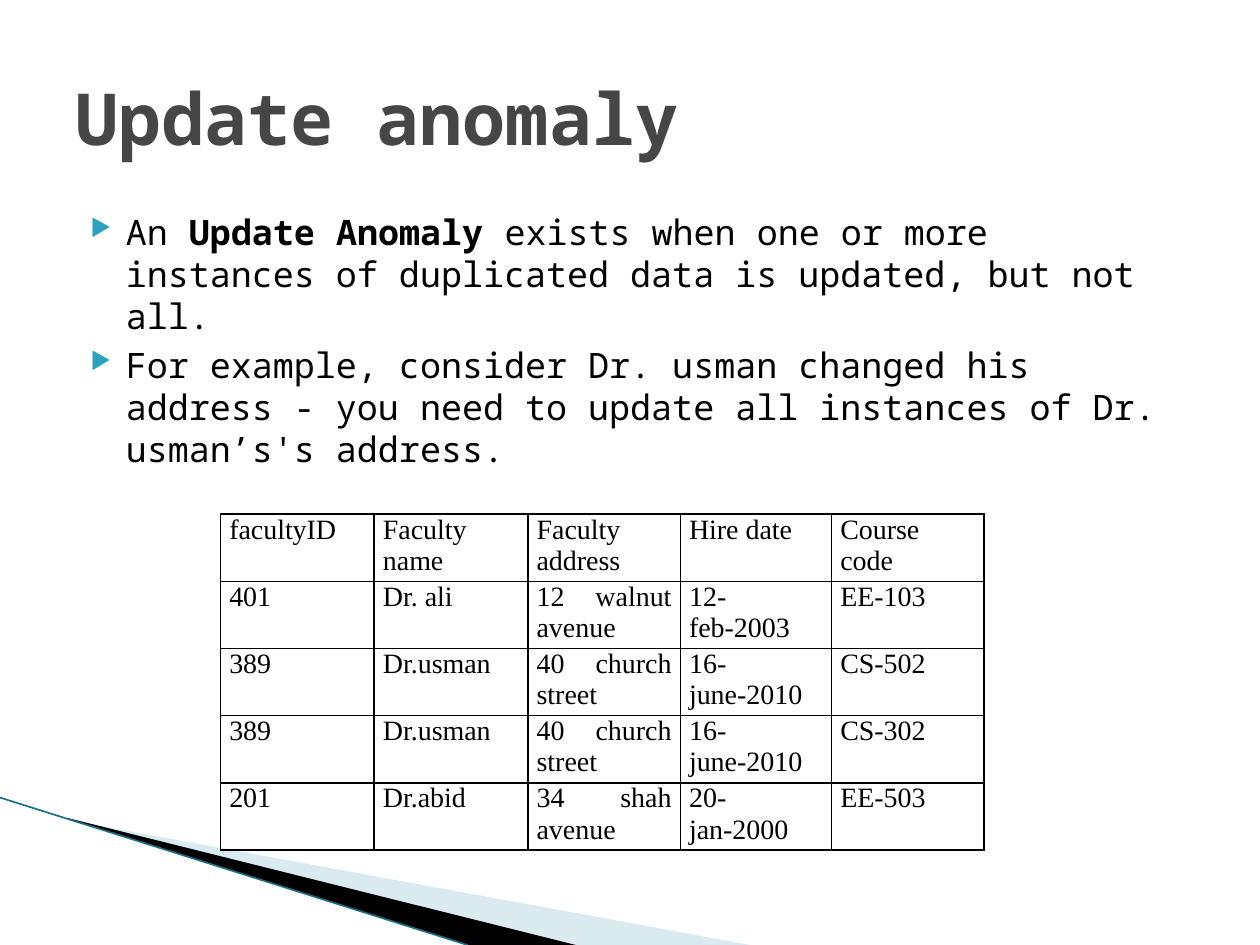
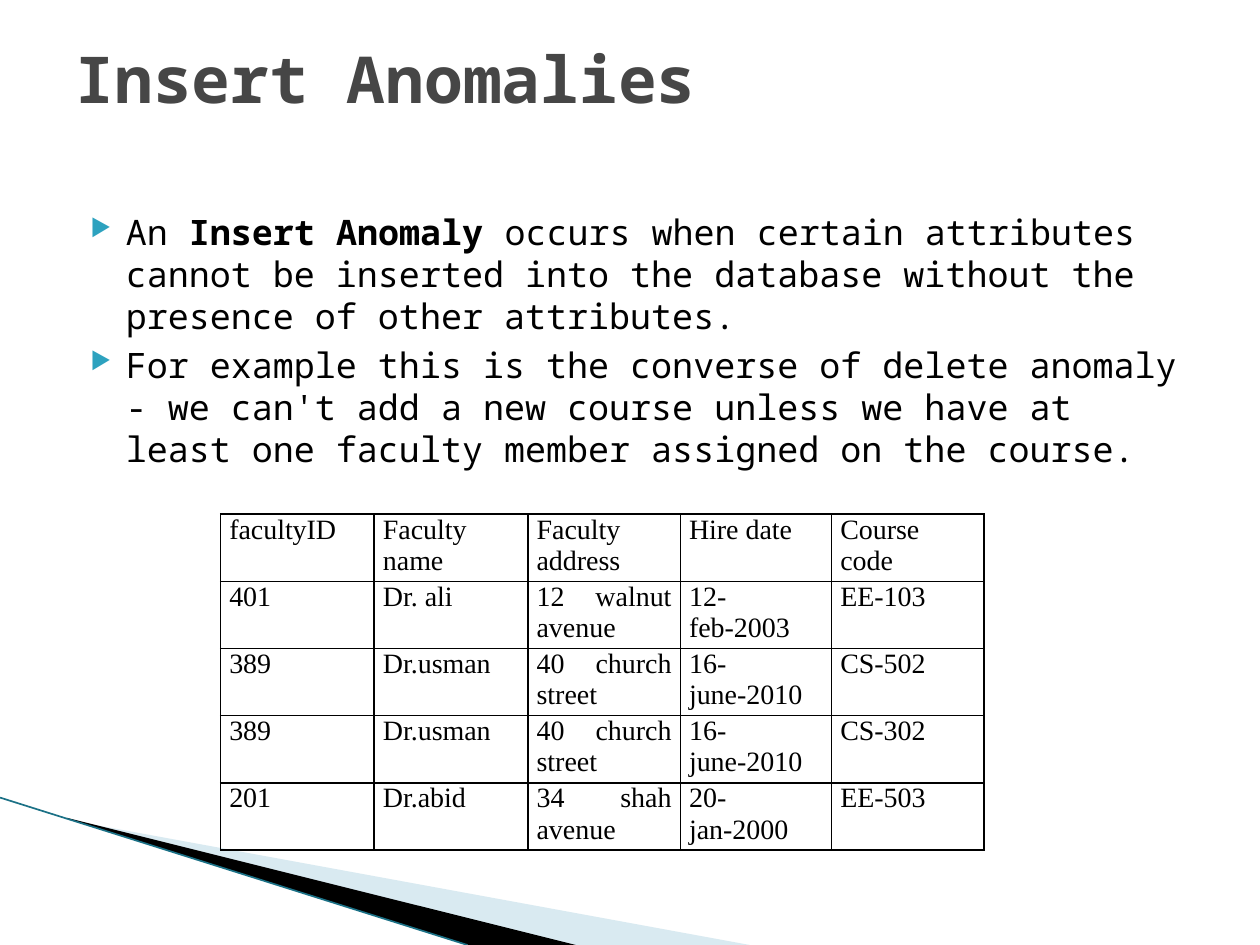
"""Build two slides on update and insert anomalies in a faculty table."""
from lxml import etree
from pptx import Presentation
from pptx.dml.color import RGBColor
from pptx.enum.shapes import MSO_CONNECTOR
from pptx.enum.text import MSO_ANCHOR, MSO_AUTO_SIZE, PP_ALIGN
from pptx.oxml import parse_xml
from pptx.oxml.ns import nsdecls, qn
from pptx.util import Pt

PX = 9144
STRAIGHT = MSO_CONNECTOR.STRAIGHT
MIDDLE = MSO_ANCHOR.MIDDLE
NO_AUTOSIZE = MSO_AUTO_SIZE.NONE
LEFT = PP_ALIGN.LEFT
JUSTIFY = PP_ALIGN.JUSTIFY

BLACK = RGBColor(0x00, 0x00, 0x00)
TITLE_GRAY = RGBColor(0x46, 0x46, 0x46)
BULLET_BLUE = RGBColor(0x2D, 0xA2, 0xBF)
PALE_BLUE = RGBColor(0xA0, 0xCB, 0xDC)
EDGE_TEAL = RGBColor(0x1B, 0x71, 0x86)
TEXT_FONT = "Noto Sans Mono"
TABLE_FONT = "Times New Roman"

PALE_WEDGE = [(55, 651), (595, 750), (456, 750), (55, 650)]
BLACK_WEDGE = [(53, 649), (457, 750), (372, 750), (54, 650)]
COLUMN_WIDTHS = [122, 122, 121, 120, 121]
ROW_HEIGHT = 49
FACULTY_ROWS = [
    ["facultyID", "Faculty name", "Faculty address", "Hire date", "Course code"],
    ["401", "Dr. ali", "12 walnut avenue", "12-feb-2003", "EE-103"],
    ["389", "Dr.usman", "40 church street", "16-june-2010", "CS-502"],
    ["389", "Dr.usman", "40 church street", "16-june-2010", "CS-302"],
    ["201", "Dr.abid", "34 shah avenue", "20-jan-2000", "EE-503"],
]
SLIDES = [
    {
        "title": "Update anomaly", "title_size": 41, "title_bottom_inset": 5,
        "bullets": [
            ["An ", "Update Anomaly", " exists when one or more instances of "
             "duplicated data is updated, but not all."],
            ["For example, consider Dr. usman changed his address - you need to "
             "update all instances of Dr. usman’s's address."],
        ],
    },
    {
        "title": "Insert Anomalies", "title_size": 36.9, "title_bottom_inset": 67,
        "bullets": [
            ["An ", "Insert Anomaly", " occurs when certain attributes cannot be "
             "inserted into the database without the presence of other attributes."],
            ["For example this is the converse of delete anomaly - we can't add a "
             "new course unless we have at least one faculty member assigned on "
             "the course."],
        ],
    },
]


def style_run(run, font_name, size, color, bold=False):
    run.font.name = font_name
    run.font.size = Pt(size)
    run.font.color.rgb = color
    run.font.bold = bold


def add_wedge(slide, points, color):
    builder = slide.shapes.build_freeform(*points[0], scale=PX)
    builder.add_line_segments(points[1:], close=True)
    wedge = builder.convert_to_shape()
    wedge.shadow.inherit = False
    wedge.fill.solid()
    wedge.fill.fore_color.rgb = color
    wedge.line.fill.background()
    return wedge


presentation = Presentation()
presentation.slide_width = 1000 * PX
presentation.slide_height = 750 * PX
title_only_layout = presentation.slide_layouts[5]

for content in SLIDES:
    slide = presentation.slides.add_slide(title_only_layout)

    pale_wedge = add_wedge(slide, PALE_WEDGE, PALE_BLUE)
    pale_color = pale_wedge.fill._xPr.find(qn("a:solidFill"))[0]
    etree.SubElement(pale_color, qn("a:alpha"), val="40000")
    add_wedge(slide, BLACK_WEDGE, BLACK)
    edge = slide.shapes.add_connector(STRAIGHT, 0, 633 * PX, 371 * PX, 750 * PX)
    edge.line.color.rgb = EDGE_TEAL
    edge.line.width = Pt(0.95)
    etree.SubElement(edge._element.spPr, qn("a:effectLst"))

    title = slide.shapes.title
    title.left, title.top, title.width, title.height = (
        50 * PX, 30 * PX, 900 * PX, 125 * PX)
    title_frame = title.text_frame
    title_frame.text = content["title"]
    title_frame.auto_size = NO_AUTOSIZE
    title_frame.vertical_anchor = MIDDLE
    title_frame.margin_top = 5 * PX
    title_frame.margin_bottom = content["title_bottom_inset"] * PX
    title_frame.paragraphs[0].alignment = LEFT
    style_run(title_frame.paragraphs[0].runs[0], TEXT_FONT,
              content["title_size"], TITLE_GRAY, True)

    body = slide.shapes.add_textbox(50 * PX, 162 * PX, 900 * PX, 495 * PX)
    body.text_frame.word_wrap = True
    for index, pieces in enumerate(content["bullets"]):
        paragraph = (body.text_frame.add_paragraph() if index
                     else body.text_frame.paragraphs[0])
        paragraph.space_before = Pt(4)
        for position, piece in enumerate(pieces):
            run = paragraph.add_run()
            run.text = piece
            style_run(run, TEXT_FONT, 20, BLACK, position == 1)
        properties = paragraph._p.get_or_add_pPr()
        properties.set("marL", str(40 * PX))
        properties.set("indent", str(-28 * PX))
        bullet_color = etree.SubElement(properties, qn("a:buClr"))
        etree.SubElement(bullet_color, qn("a:srgbClr"), val=str(BULLET_BLUE))
        etree.SubElement(properties, qn("a:buSzPct"), val="68000")
        etree.SubElement(properties, qn("a:buChar"), char="▶")

    table = slide.shapes.add_table(
        len(FACULTY_ROWS), len(COLUMN_WIDTHS), 175 * PX, 408 * PX,
        sum(COLUMN_WIDTHS) * PX, len(FACULTY_ROWS) * ROW_HEIGHT * PX).table
    table.first_row = False
    table.horz_banding = False
    for column, width in zip(table.columns, COLUMN_WIDTHS):
        column.width = width * PX
    for row, values in zip(table.rows, FACULTY_ROWS):
        row.height = ROW_HEIGHT * PX
        for cell, value in zip(row.cells, values):
            cell.margin_left = cell.margin_right = 7 * PX
            cell.margin_top = cell.margin_bottom = 0
            cell.fill.background()
            paragraph = cell.text_frame.paragraphs[0]
            paragraph.text = value
            paragraph.alignment = JUSTIFY
            style_run(paragraph.runs[0], TABLE_FONT, 16, BLACK)
            cell_properties = cell._tc.get_or_add_tcPr()
            for index, side in enumerate(["lnL", "lnR", "lnT", "lnB"]):
                cell_properties.insert(index, parse_xml(
                    f'<a:{side} {nsdecls("a")} w="{Pt(1)}"><a:solidFill>'
                    f'<a:srgbClr val="{BLACK}"/></a:solidFill></a:{side}>'))

presentation.save("out.pptx")
